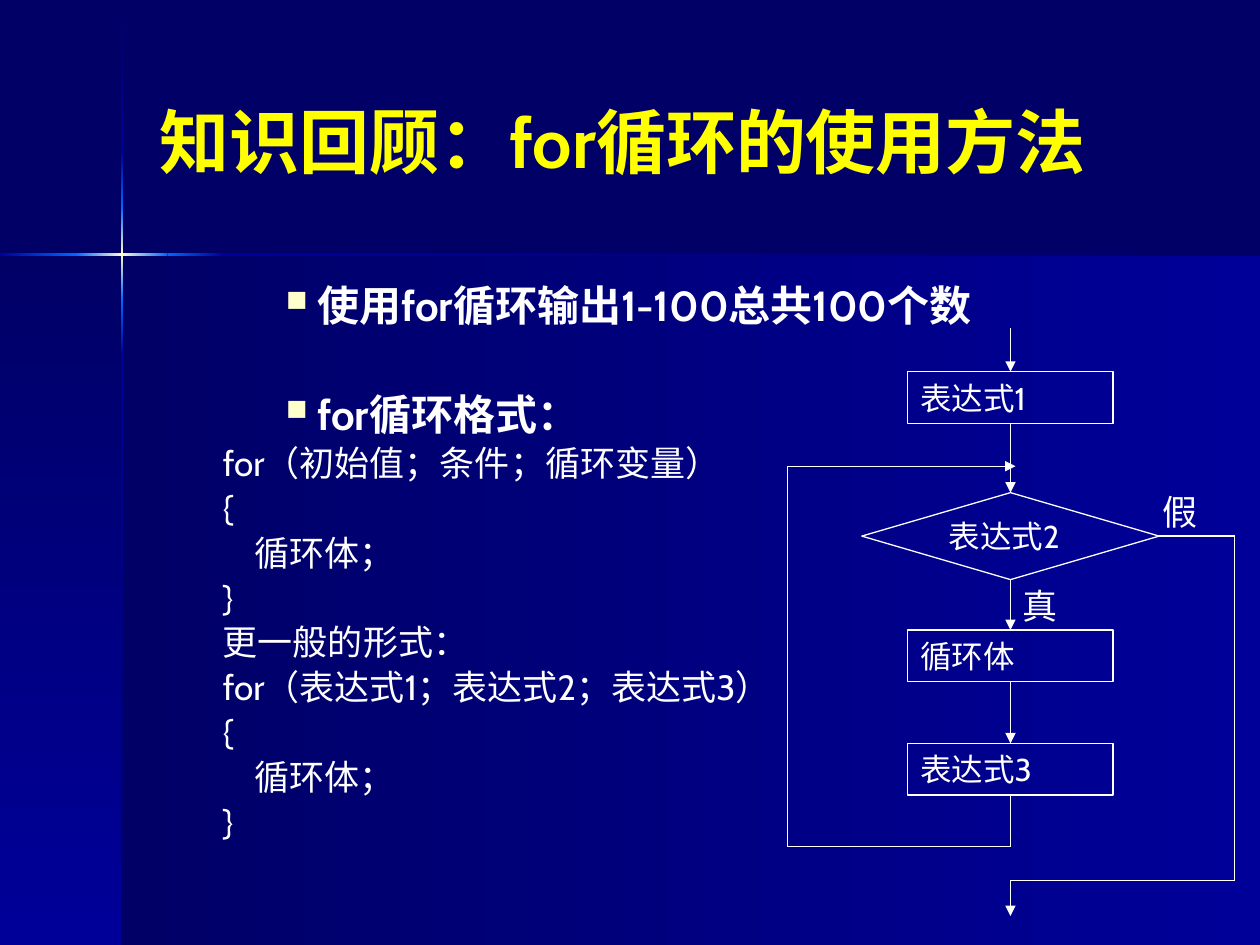
from copy import deepcopy
from dataclasses import dataclass
from itertools import pairwise

from pptx import Presentation
from pptx.dml.color import RGBColor as RGB
from pptx.enum.shapes import MSO_CONNECTOR as Connector, MSO_SHAPE as Shape
from pptx.enum.text import MSO_ANCHOR as Anchor, PP_ALIGN as Align
from pptx.oxml.ns import qn
from pptx.oxml.xmlchemy import OxmlElement as Element
from pptx.util import Pt


@dataclass(frozen=True)
class Theme:
    navy: str = "000066"
    blue: str = "000099"
    bright: str = "0066FF"
    cream: str = "FFFFCC"
    yellow: str = "FFFF00"
    white: str = "FFFFFF"
    latin: str = "Cabin"
    east_asian: str = "Noto Sans CJK SC"
    title: float = 40
    heading: float = 24
    code: float = 20
    step: float = 18
    line: float = 0.75


THEME = Theme()
WIDTH, HEIGHT = 720, 540
AXIS = 577.44  # centre line of the flowchart
STEP_WIDTH, STEP_HEIGHT = 117.36, 29.52


# Text
def format_para(para, size, color=THEME.white, bold=False):
    para.alignment = Align.LEFT
    for span in para.runs:
        font = span.font
        font.name, font.size, font.bold = THEME.latin, Pt(size), bold
        font.color.rgb = RGB.from_string(color)
        east_asian = Element("a:ea")
        east_asian.set("typeface", THEME.east_asian)
        font._element.find(qn("a:latin")).addnext(east_asian)


def add_text(page, frame, text, size, color=THEME.white, bold=False,
             anchor=Anchor.TOP):
    box = page.shapes.add_textbox(*map(Pt, frame))
    box.text_frame.word_wrap = True
    box.text_frame.vertical_anchor = anchor
    box.text_frame.text = text
    for para in box.text_frame.paragraphs:
        format_para(para, size, color, bold)
    return box


def set_indent(para, margin, hanging=0):
    props = para._p.get_or_add_pPr()
    props.set("marL", str(Pt(margin)))
    props.set("indent", str(-Pt(hanging)))
    return props


def add_bullet(para):
    props = set_indent(para, 90, 18)
    color = Element("a:buClr")
    rgb = Element("a:srgbClr")
    rgb.set("val", THEME.cream)
    color.append(rgb)
    size = Element("a:buSzPct")
    size.set("val", "70000")
    char = Element("a:buChar")
    char.set("char", "■")
    props.extend([color, size, char])


def add_body(page):
    headings = ["使用for循环输出1-100总共100个数\v", "for循环格式："]
    code = [
        "for（初始值；条件；循环变量）", "{", "循环体；", "}",
        "更一般的形式：",
        "for（表达式1；表达式2；表达式3）", "{", "循环体；", "}",
    ]
    box = add_text(page, (84.24, 156.24, 594, 349.92),
                   "\n".join(headings + code), THEME.code)
    for index, para in enumerate(box.text_frame.paragraphs):
        is_heading = index < len(headings)
        size = THEME.heading if is_heading else THEME.code
        para.space_before = Pt(size * 0.2)
        para.line_spacing = Pt(28.75 if is_heading else 21.6)
        if is_heading:
            for span in para.runs:
                span.font.size, span.font.bold = Pt(size), True
            add_bullet(para)
        else:
            set_indent(para, 54 if para.text == "循环体；" else 36)


# Background panels and light beams
def add_gradient(page, frame, colors, angle):
    panel = page.shapes.add_shape(Shape.RECTANGLE, *map(Pt, frame))
    panel.shadow.inherit = False
    panel.line.fill.background()
    panel.fill.gradient()
    panel.fill.gradient_angle = angle
    stop_list = panel._element.spPr.find(".//" + qn("a:gsLst"))
    for _ in colors[2:]:
        stop_list.append(deepcopy(stop_list[-1]))
    for index, (stop, color) in enumerate(zip(panel.fill.gradient_stops, colors)):
        stop.position = index / (len(colors) - 1)
        stop.color.rgb = RGB.from_string(color)


def add_background(page):
    across, down = 0, 270
    navy, blue, bright = THEME.navy, THEME.blue, THEME.bright
    glint = (bright, THEME.cream, bright)
    left, top, thick = 69.84, 145.44, 1.44
    add_gradient(page, (left, top, WIDTH - left, HEIGHT - top), (navy, blue), across)
    add_gradient(page, (0, top, left, HEIGHT - top), (navy, blue), down)

    rising, falling = (blue, bright), (bright, blue)
    column = [(navy, blue), rising, glint, falling, (blue, navy)]
    edges = [0.72, 87.12, 118.8, 171.36, 203.04, HEIGHT]
    for (start, end), colors in zip(pairwise(edges), column):
        add_gradient(page, (69.12, start, thick, end - start), colors, down)

    edges = [0, 43.56, 95.76, 127.44, WIDTH]
    for (start, end), colors in zip(pairwise(edges), column[1:]):
        add_gradient(page, (start, 144.72, end - start, thick), colors, across)


# Flowchart
def add_step(page, kind, top, text, width=STEP_WIDTH, height=STEP_HEIGHT):
    step = page.shapes.add_shape(
        kind, Pt(AXIS - width / 2), Pt(top), Pt(width), Pt(height))
    step.shadow.inherit = False
    step.fill.background()
    step.line.color.rgb = RGB.from_string(THEME.white)
    step.line.width = Pt(THEME.line)
    frame = step.text_frame
    frame.word_wrap = False
    frame.vertical_anchor = Anchor.MIDDLE
    frame.text = text
    format_para(frame.paragraphs[0], THEME.step)
    return step


def add_line(page, start, end, arrow=False):
    line = page.shapes.add_connector(
        Connector.STRAIGHT, *(Pt(value) for value in (*start, *end)))
    line.line.color.rgb = RGB.from_string(THEME.white)
    line.line.width = Pt(THEME.line)
    if arrow:
        head = Element("a:tailEnd")
        head.set("type", "triangle")
        line.line._get_or_add_ln().append(head)
    line._element.spPr.append(Element("a:effectLst"))
    return line


def add_route(page, points, arrow=True):
    last = len(points) - 2
    return [add_line(page, start, end, arrow and index == last)
            for index, (start, end) in enumerate(pairwise(points))]


def add_flowchart(page):
    first = add_step(page, Shape.RECTANGLE, 212.4, "表达式1")
    test = add_step(page, Shape.DIAMOND, 281.52, "表达式2", 169.92, 49.68)
    body = add_step(page, Shape.RECTANGLE, 360, "循环体")
    update = add_step(page, Shape.RECTANGLE, 424.8, "表达式3")

    # Downward arrows
    entry = add_line(page, (AXIS, 187.2), (AXIS, 212.4), arrow=True)
    entry.end_connect(first, 0)
    for upper, lower in pairwise([first, test, body, update]):
        arrow = add_line(page, (AXIS, 0), (AXIS, 1), arrow=True)
        arrow.begin_connect(upper, 2)
        arrow.end_connect(lower, 0)

    # Way back to the test, and way out when it fails
    back = add_route(page, [(AXIS, 454.32), (AXIS, 483.84), (450, 483.84),
                            (450, 266.4), (580.32, 266.4)])
    back[0].begin_connect(update, 2)
    way_out = add_route(page, [(662.4, 306.36), (705.6, 306.36), (705.6, 503.28),
                               (AXIS, 503.28), (AXIS, 523.44)])
    way_out[0].begin_connect(test, 3)

    add_text(page, (AXIS, 330.48, 37.44, 30.96), "真", THEME.code)
    add_text(page, (657.36, 276.48, 37.44, 30.96), "假", THEME.code)


def main():
    deck = Presentation()
    deck.slide_width, deck.slide_height = Pt(WIDTH), Pt(HEIGHT)
    page = deck.slides.add_slide(deck.slide_layouts[6])
    page.background.fill.solid()
    page.background.fill.fore_color.rgb = RGB.from_string(THEME.navy)
    add_background(page)
    add_text(page, (84.24, 23.76, 594, 113.04), "知识回顾：for循环的使用方法",
             THEME.title, THEME.yellow, bold=True, anchor=Anchor.MIDDLE)
    add_body(page)
    add_flowchart(page)
    deck.save("out.pptx")


if __name__ == "__main__":
    main()
